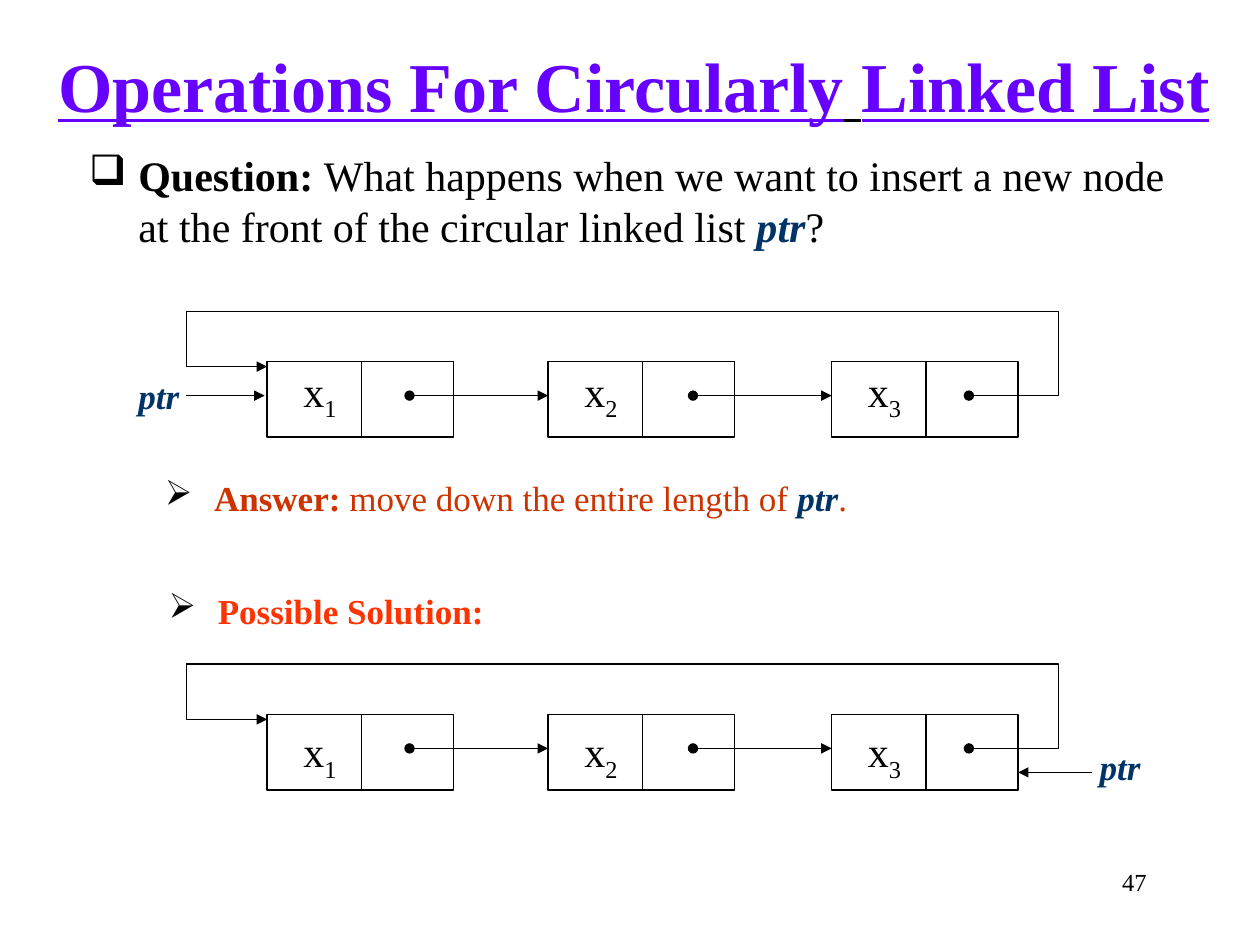
from dataclasses import dataclass

from lxml.etree import SubElement
from pptx import Presentation
from pptx.dml.color import RGBColor as RGB
from pptx.enum.shapes import MSO_CONNECTOR as CONN, MSO_SHAPE as SHAPE
from pptx.enum.text import MSO_ANCHOR as ANCHOR, MSO_AUTO_SIZE as AUTO, PP_ALIGN as ALIGN
from pptx.oxml.ns import qn
from pptx.util import Inches, Pt


@dataclass(frozen=True)
class Theme:
    """Colours, font and sizes of the slide."""
    font: str = "Times New Roman"
    ink: str = "000000"
    title: str = "6600FF"
    pointer: str = "003366"
    answer: str = "CC3300"
    solution: str = "FF3300"
    title_size: int = 40
    body_size: int = 24
    note_size: int = 20
    page_size: int = 14
    line: float = 0.75


T = Theme()


def write(tf, runs, size, align=ALIGN.LEFT, wrap=False, bullet=None):
    """Fill a text frame with one paragraph of (text, colour, style) runs."""
    tf.word_wrap = wrap
    tf.auto_size = AUTO.NONE
    tf.vertical_anchor = ANCHOR.TOP
    p = tf.paragraphs[0]
    p.alignment = align
    if bullet:
        pPr = p._p.get_or_add_pPr()
        pPr.set("marL", str(Inches(0.39)))
        pPr.set("indent", str(-Inches(0.39)))
        SubElement(SubElement(pPr, qn("a:buClr")), qn("a:srgbClr")).set("val", T.ink)
        SubElement(pPr, qn("a:buChar")).set("char", bullet)
    for text, color, style in runs:
        r = p.add_run()
        r.text = text
        r.font.name, r.font.size = T.font, Pt(size)
        r.font.color.rgb = RGB.from_string(color)
        r.font.bold, r.font.italic, r.font.underline = (c in style for c in "biu")
    return p


def add_text(shapes, box, runs, size, **options):
    """Add a text box at an inch box."""
    tb = shapes.add_textbox(*map(Inches, box))
    return write(tb.text_frame, runs, size, **options)


def stroke(shape, head=None, tail=None):
    """Give a shape its thin line and optional line ends."""
    shape.line.color.rgb = RGB.from_string(T.ink)
    shape.line.width = Pt(T.line)
    ln = shape._element.spPr.find(qn("a:ln"))
    for tag, kind in (("a:headEnd", head), ("a:tailEnd", tail)):
        if kind:
            SubElement(ln, qn(tag)).set("type", kind)


def add_line(shapes, start, end, head=None, tail=None):
    """Add a straight line between two inch points."""
    line = shapes.add_connector(CONN.STRAIGHT, *map(Inches, (*start, *end)))
    stroke(line, head, tail)
    SubElement(line._element.spPr, qn("a:effectLst"))


def add_node(shapes, left, top, number, label_top):
    """Add a two-field list node with its value."""
    box = shapes.add_shape(SHAPE.RECTANGLE, *map(Inches, (left, top, 1.48, 0.6)))
    box.fill.background()
    box.shadow.inherit = False
    stroke(box)
    add_line(shapes, (left + 0.75, top), (left + 0.75, top + 0.6))
    runs = [("x", T.ink, ""), (str(number), T.ink, "")]
    p = add_text(shapes, (left + 0.18, label_top, 0.48, 0.5), runs, T.body_size, align=ALIGN.CENTER)
    p.runs[1].font._element.set("baseline", "-25000")


def add_ring(s, left, top, label_dy, pointer_at, arrow):
    """Draw a circular list of three nodes and its pointer."""
    shapes = s.shapes.add_group_shape().shapes
    nodes = [left + dx for dx in (0.64, 2.87, 5.12)]
    dots = [left + dx for dx in (1.77, 4.02, 6.21)]
    mid = top + 0.67
    for number, node in enumerate(nodes, 1):
        add_node(shapes, node, top + 0.4, number, top + label_dy)
    for dot, node in zip(dots, nodes[1:]):
        add_line(shapes, (dot, mid), (node, mid), "oval", "triangle")

    right = left + 6.92
    route = [(dots[-1], mid), (right, mid), (right, top), (left, top),
             (left, top + 0.44), (nodes[0], top + 0.44)]
    points = [(Inches(x), Inches(y)) for x, y in route]
    builder = shapes.build_freeform(*points[0])
    builder.add_line_segments(points[1:], close=False)
    loop = builder.convert_to_shape()
    loop.fill.background()
    loop.shadow.inherit = False
    stroke(loop, "oval", "triangle")

    start, end = [(left + dx, top + dy) for dx, dy in arrow]
    add_line(shapes, start, end, tail="triangle")
    dx, dy = pointer_at
    add_text(shapes, (left + dx, top + dy, 0.53, 0.44), [("ptr", T.pointer, "bi")], T.note_size)


def add_title(s, box):
    """Place and fill the title placeholder."""
    title = s.shapes.title
    title.left, title.top, title.width, title.height = map(Inches, box)
    runs = [("Operations For Circularly", T.title, "bu"), (" ", T.ink, "bu"),
            ("Linked List", T.title, "bu")]
    write(title.text_frame, runs, T.title_size, align=ALIGN.CENTER)


def main():
    """Build and save the slide."""
    prs = Presentation()
    prs.slide_width, prs.slide_height = Inches(10), Inches(7.5)
    s = prs.slides.add_slide(prs.slide_layouts[5])
    add_title(s, (0.31, 0.29, 9.44, 0.77))
    question = [
        ("Question: ", T.ink, "b"),
        ("What happens when we want to insert a new node at the front of the circular linked list ",
         T.ink, ""),
        ("ptr", T.pointer, "bi"), ("?", T.ink, "")]
    add_text(s.shapes, (0.61, 1.14, 9.03, 0.91), question, T.body_size, wrap=True, bullet="❑")
    add_ring(s, 1.48, 2.47, 0.38, (-0.48, 0.45), ((0, 0.67), (0.62, 0.67)))
    answer = [("Answer: ", T.answer, "b"), ("move down the entire length of ", T.answer, ""),
              ("ptr", T.pointer, "bi"), (".", T.answer, "")]
    add_text(s.shapes, (1.21, 3.73, 5.62, 0.44), answer, T.note_size, bullet="➢")
    add_text(s.shapes, (1.24, 4.63, 2.72, 0.44), [("Possible Solution:", T.solution, "b")],
             T.note_size, bullet="➢")
    add_ring(s, 1.48, 5.27, 0.44, (7.15, 0.6), ((7.19, 0.86), (6.6, 0.86)))
    add_text(s.shapes, (7.12, 6.83, 2.08, 0.5), [("47", T.ink, "")], T.page_size,
             align=ALIGN.RIGHT, wrap=True)
    prs.save("out.pptx")


if __name__ == "__main__":
    main()
